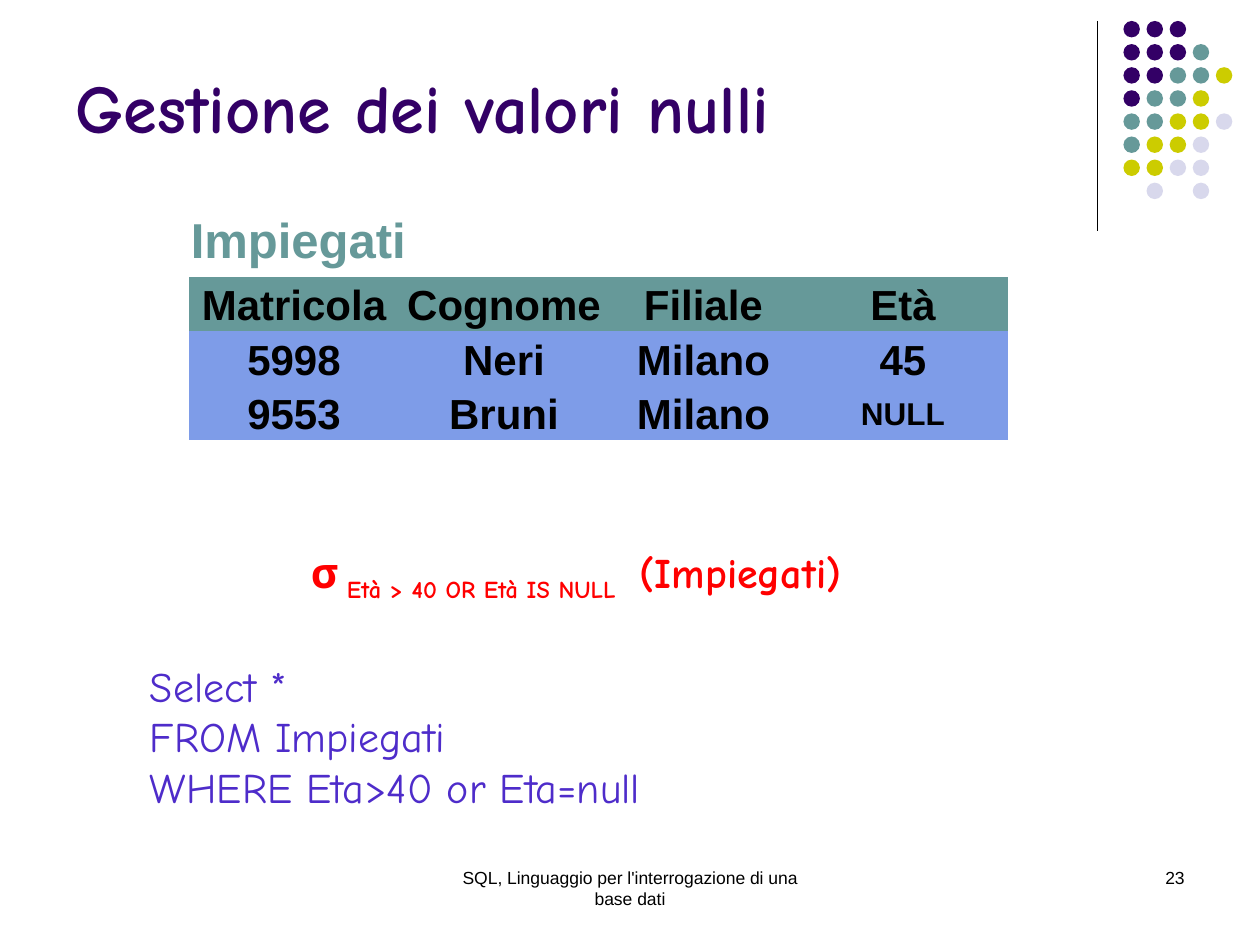
import lxml.etree
import pptx
import pptx.dml.color
import pptx.enum.shapes
import pptx.enum.text
import pptx.oxml.ns
import pptx.util

ALIGN = pptx.enum.text.PP_ALIGN
ANCHOR = pptx.enum.text.MSO_ANCHOR
COLUMNS, ROWS = 120, 90
WIDTH, HEIGHT = pptx.util.Inches(10), pptx.util.Inches(7.5)
PURPLE, TEAL, OLIVE, LILAC = "330066", "669999", "CCCC00", "D8D8EC"
BLACK, BLUE, RED, INDIGO = "000000", "7E9CE8", "FF0000", "4E2CCA"
BODY, COMIC = "Arial", "Comic Neue"
NO_GRID_STYLE = "{2D5ABB26-0587-4C30-8999-92F81FD0307C}"
DOT_COLORS = {"p": PURPLE, "t": TEAL, "o": OLIVE, "l": LILAC}
DOT_ROWS = ["ppp", "pppt", "pptto", "ptto", "ttool", "tool", "ooll", " l l"]
EMPLOYEES = [
    ["Matricola", "Cognome", "Filiale", "Età"],
    ["5998", "Neri", "Milano", "45"],
    ["9553", "Bruni", "Milano", "NULL"],
]


def x(columns):
    """Return a horizontal length given in grid columns."""
    return round(WIDTH * columns / COLUMNS)


def y(rows):
    """Return a vertical length given in grid rows."""
    return round(HEIGHT * rows / ROWS)


def box(left, top, width, height):
    """Return the slide position of a box given in grid units."""
    return x(left), y(top), x(width), y(height)


def rgb(value):
    """Return the colour for a hex string."""
    return pptx.dml.color.RGBColor.from_string(value)


def format_run(r, size, color, name=BODY, bold=False):
    """Set the font of one run."""
    r.font.size = pptx.util.Pt(size)
    r.font.name = name
    r.font.bold = bold
    r.font.color.rgb = rgb(color)


def add_text(s, at, text, size, color, name=BODY, bold=False,
             align=ALIGN.LEFT, anchor=ANCHOR.TOP, wrap=True):
    """Add a text box whose runs share one format."""
    tf = s.shapes.add_textbox(*box(*at)).text_frame
    tf.word_wrap = wrap
    tf.vertical_anchor = anchor
    tf.text = text
    for p in tf.paragraphs:
        p.alignment = align
        for r in p.runs:
            format_run(r, size, color, name, bold)
    return tf


def add_rule(s, column, top, bottom):
    """Add a thin vertical line."""
    line = s.shapes.add_connector(
        pptx.enum.shapes.MSO_CONNECTOR.STRAIGHT, x(column), y(top), x(column), y(bottom))
    line.line.color.rgb = rgb(BLACK)
    line.line.width = pptx.util.Pt(0.75)
    lxml.etree.SubElement(line._element.spPr, pptx.oxml.ns.qn("a:effectLst"))


def add_dots(s, left, top, pitch, size):
    """Add the corner ornament of coloured dots."""
    for i, codes in enumerate(DOT_ROWS):
        for j, code in enumerate(codes):
            if code in DOT_COLORS:
                sp = s.shapes.add_shape(
                    pptx.enum.shapes.MSO_SHAPE.OVAL,
                    *box(left + j * pitch, top + i * pitch, size, size))
                sp.shadow.inherit = False
                sp.fill.solid()
                sp.fill.fore_color.rgb = rgb(DOT_COLORS[code])
                sp.line.fill.background()


def add_employees(s, left, top, widths, height):
    """Add the employee table."""
    at = box(left, top, sum(widths), height * len(EMPLOYEES))
    table = s.shapes.add_table(len(EMPLOYEES), len(widths), *at).table
    table.first_row = table.horz_banding = False
    table._tbl.tblPr.find(pptx.oxml.ns.qn("a:tableStyleId")).text = NO_GRID_STYLE
    for column, width in zip(table.columns, widths):
        column.width = x(width)
    for i, values in enumerate(EMPLOYEES):
        table.rows[i].height = y(height)
        for j, value in enumerate(values):
            cell = table.cell(i, j)
            cell.fill.solid()
            cell.fill.fore_color.rgb = rgb(BLUE if i else TEAL)
            cell.margin_left = cell.margin_right = cell.margin_bottom = 0
            cell.margin_top = y(0.36)
            cell.vertical_anchor = ANCHOR.MIDDLE
            cell.text = value
            p = cell.text_frame.paragraphs[0]
            p.alignment = ALIGN.CENTER
            format_run(p.runs[0], 18 if value == "NULL" else 24, BLACK, bold=True)


def add_selection(s, at):
    """Add the relational selection with its subscript condition."""
    tf = add_text(s, at, "σ", 24, RED, COMIC, True, ALIGN.CENTER, ANCHOR.MIDDLE, False)
    p = tf.paragraphs[0]
    for text, size, name in ((" Età > 40 OR Età IS NULL ", 24, COMIC),
                             (" (Impiegati)", 24, COMIC), (" ", 32, BODY)):
        r = p.add_run()
        r.text = text
        format_run(r, size, RED, name, True)
    p.runs[1].font._element.set("baseline", "-25000")


def main():
    """Build the slide and save it."""
    prs = pptx.Presentation()
    prs.slide_width, prs.slide_height = WIDTH, HEIGHT
    s = prs.slides.add_slide(prs.slide_layouts[6])
    add_rule(s, 104.5, 2, 22)
    add_dots(s, 107, 2, 2.2, 1.57)
    add_text(s, (6, 1.6, 99, 17), "Gestione dei valori nulli", 39, PURPLE,
             COMIC, True, anchor=ANCHOR.MIDDLE)
    add_text(s, (17, 20, 26, 5.6), "Impiegati", 28, TEAL, bold=True,
             anchor=ANCHOR.MIDDLE)
    add_employees(s, 18, 26.4, [20, 20, 18, 20], 5)
    add_selection(s, (24.1, 50.6, 63, 7))
    add_text(s, (13.1, 62.3, 49.3, 15.6),
             "Select *\nFROM Impiegati\nWHERE Eta>40 or Eta=null",
             24, INDIGO, COMIC, wrap=False)
    add_text(s, (41, 82, 38, 6), "SQL, Linguaggio per l'interrogazione di una base dati",
             10, BLACK, align=ALIGN.CENTER)
    add_text(s, (86, 82, 28, 6), "23", 10, BLACK, align=ALIGN.RIGHT)
    prs.save("out.pptx")


if __name__ == "__main__":
    main()
